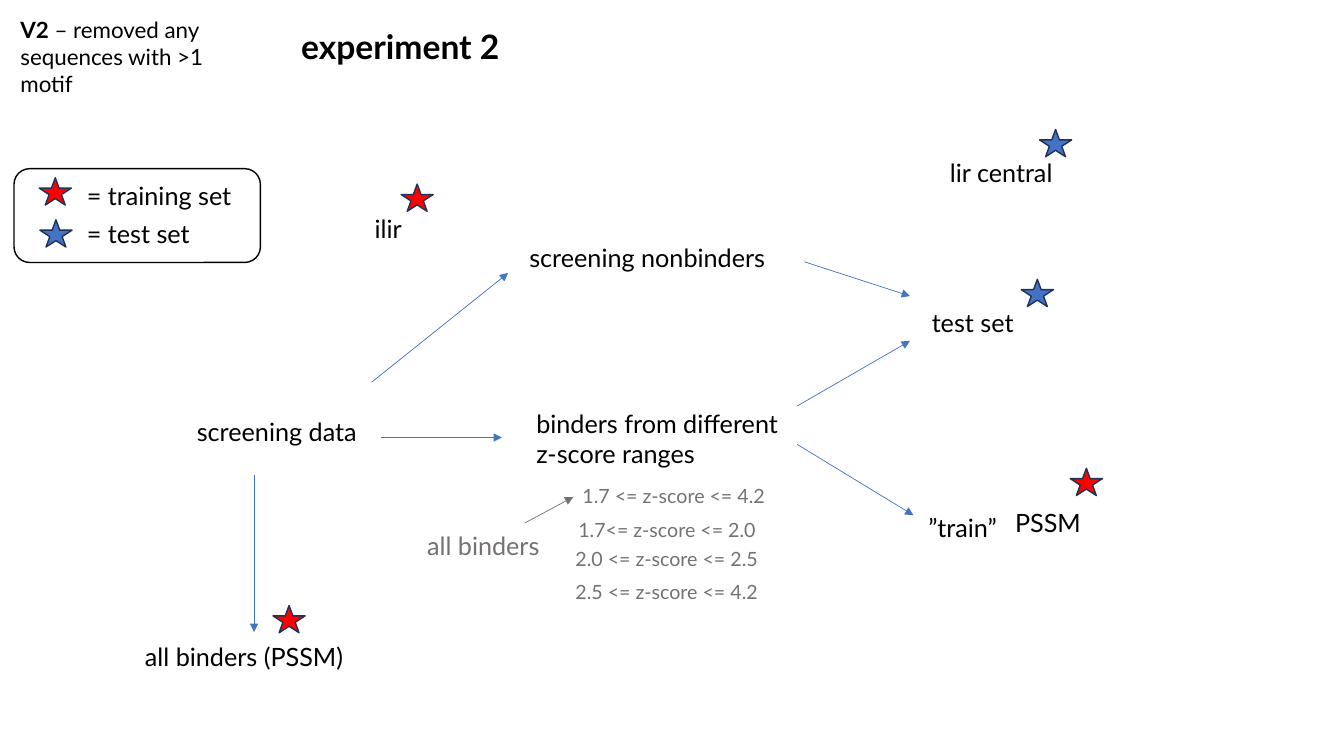
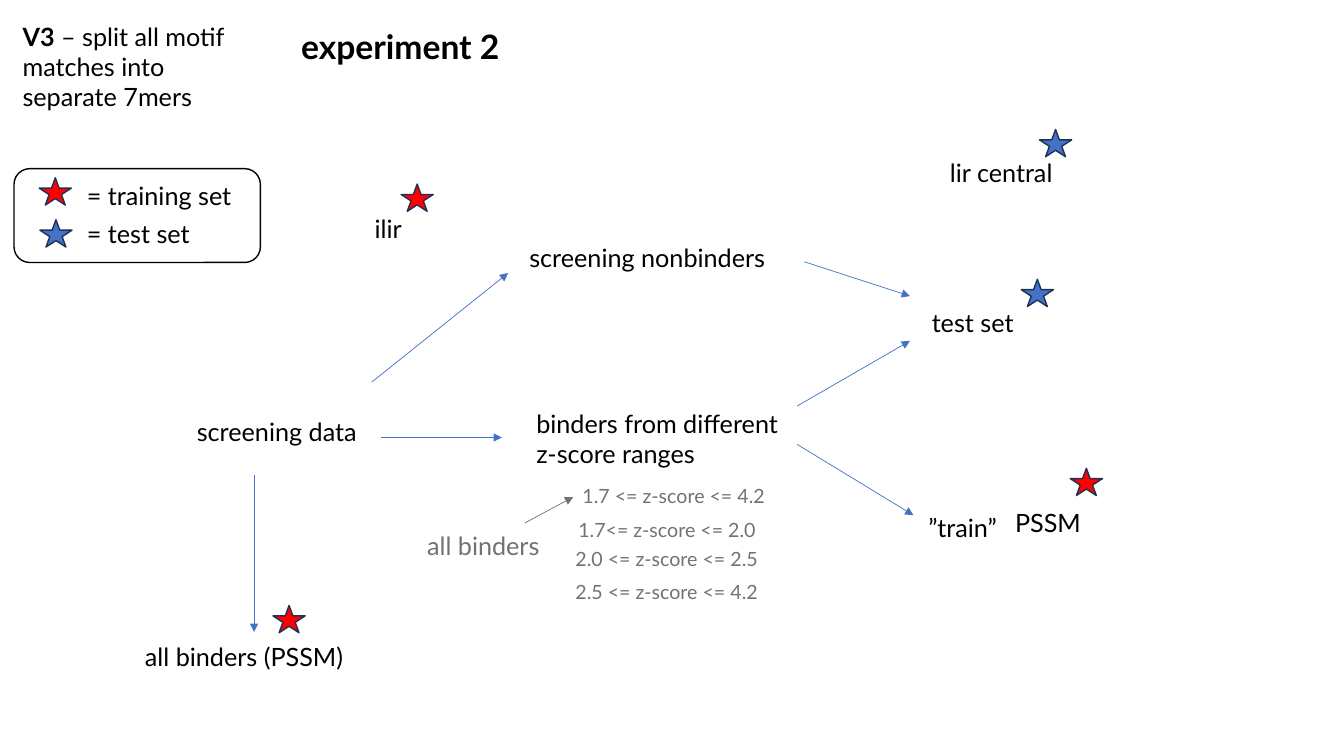
from dataclasses import dataclass

from lxml import etree
from pptx import Presentation
from pptx import util as u
from pptx.dml.color import RGBColor
from pptx.enum import shapes, text
from pptx.oxml.ns import qn


@dataclass(frozen=True)
class Theme:
    font: str = "Lato"
    ink: str = "000000"
    muted: str = "767171"
    arrow: str = "4472C4"
    training: str = "FF0000"
    test: str = "4472C4"
    star_edge: str = "1E3256"
    title_size: float = 24
    label_size: float = 18
    note_size: float = 16
    range_size: float = 14


THEME = Theme()
STAR_SIZE = (23, 19.5)

# text, left, top, width
LABELS = [
    ("screening data", 133.5, 294, 135),
    ("binders from different\nz-score ranges", 376, 288, 192),
    ("screening nonbinders", 371, 169.5, 190),
    ("all binders (PSSM)", 96.5, 454.5, 161),
    ("test set", 658.5, 216, 75),
    ("”train”", 656, 362.5, 72),
    ("PSSM", 718, 358.5, 66),
    ("ilir", 260.5, 149, 36),
    ("lir central", 671.5, 108.5, 91),
]
SCORE_RANGES = [
    ("1.7 <= z-score <= 4.2", 409, 342, 152),
    ("1.7<= z-score <= 2.0", 406, 366.5, 149),
    ("2.0 <= z-score <= 2.5", 404, 387, 152),
    ("2.5 <= z-score <= 4.2", 404, 411, 152),
]
# start x, start y, end x, end y
FLOW_ARROWS = [
    (272, 312.5, 358.5, 312.5),
    (569.5, 317.5, 652.5, 368),
    (574.5, 187, 650, 211.5),
    (265.5, 273, 363, 195),
    (569.5, 290, 650, 243.5),
    (181.5, 339, 181.5, 451.5),
]
TRAINING_STARS = [(764.5, 334.5), (195, 432.5), (286.5, 131.5)]
TEST_STARS = [(729.5, 199.5), (742.5, 92.5)]


def points(*values):
    return [u.Pt(value) for value in values]


def add_text(canvas, content, left, top, width, *, size=THEME.label_size,
             color=THEME.ink, bold=False, wrap=False, lead="", lines=None):
    """Add a text box; lead is an optional bold opening of the first line."""
    paragraphs = content.split("\n")
    height = (lines or len(paragraphs)) * size * 1.2 + 7.2
    box = canvas.add_textbox(*points(left, top, width, height))
    frame = box.text_frame
    frame.word_wrap = wrap
    frame.auto_size = text.MSO_AUTO_SIZE.SHAPE_TO_FIT_TEXT
    for index, line in enumerate(paragraphs):
        paragraph = frame.add_paragraph() if index else frame.paragraphs[0]
        runs = [(line, bold)]
        if lead and not index:
            runs.insert(0, (lead, True))
        for words, is_bold in runs:
            run = paragraph.add_run()
            run.text = words
            run.font.name = THEME.font
            run.font.size = u.Pt(size)
            run.font.bold = is_bold
            run.font.color.rgb = RGBColor.from_string(color)


def add_outlined(canvas, kind, left, top, width, height, *, edge, fill=None):
    shape = canvas.add_shape(kind, *points(left, top, width, height))
    shape.shadow.inherit = False
    if fill:
        shape.fill.solid()
        shape.fill.fore_color.rgb = RGBColor.from_string(fill)
    else:
        shape.fill.background()
    shape.line.color.rgb = RGBColor.from_string(edge)
    shape.line.width = u.Pt(1)


def add_star(canvas, left, top, color):
    add_outlined(canvas, shapes.MSO_SHAPE.STAR_5_POINT, left, top, *STAR_SIZE,
                 edge=THEME.star_edge, fill=color)


def add_arrow(canvas, ends, color=THEME.arrow):
    connector = canvas.add_connector(shapes.MSO_CONNECTOR.STRAIGHT, *points(*ends))
    connector.line.color.rgb = RGBColor.from_string(color)
    connector.line.width = u.Pt(0.5)
    properties = connector.element.spPr
    outline = properties.find(qn("a:ln"))
    etree.SubElement(outline, qn("a:tailEnd")).set("type", "triangle")
    etree.SubElement(properties, qn("a:effectLst"))


def add_legend(slide):
    group = slide.shapes.add_group_shape().shapes
    add_outlined(group, shapes.MSO_SHAPE.ROUNDED_RECTANGLE, 10, 120.5, 176, 67,
                 edge=THEME.ink)
    add_star(group, 28, 127, THEME.training)
    add_text(group, "= training set", 55, 125.5, 124)
    add_star(group, 28.5, 157, THEME.test)
    add_text(group, "= test set", 55, 152.5, 92)


def add_experiment(slide):
    """Draw the title, legend and data flow shared by all versions."""
    canvas = slide.shapes
    add_text(canvas, "experiment 2", 208, 15, 169, size=THEME.title_size, bold=True)
    add_legend(slide)
    for label in LABELS:
        add_text(canvas, *label)
    for score_range in SCORE_RANGES:
        add_text(canvas, *score_range, size=THEME.range_size, color=THEME.muted)
    add_text(canvas, "all binders", 298, 375, 100, color=THEME.muted)
    for ends in FLOW_ARROWS:
        add_arrow(canvas, ends)
    add_arrow(canvas, (375, 373.5, 409.5, 355), THEME.muted)
    for color, places in ((THEME.training, TRAINING_STARS), (THEME.test, TEST_STARS)):
        for left, top in places:
            add_star(canvas, left, top, color)


def main():
    presentation = Presentation()
    presentation.slide_width, presentation.slide_height = points(960, 540)
    versions = [
        ("V2", " – removed any sequences with >1 motif", 7.5, 8, 171.5, THEME.note_size),
        ("V3", " – split all motif matches into separate 7mers", 9, 11.5, 170,
         THEME.label_size),
    ]
    for version, change, left, top, width, size in versions:
        slide = presentation.slides.add_slide(presentation.slide_layouts[6])
        add_experiment(slide)
        add_text(slide.shapes, change, left, top, width, size=size, lead=version,
                 wrap=True, lines=3)
    presentation.save("out.pptx")


if __name__ == "__main__":
    main()
